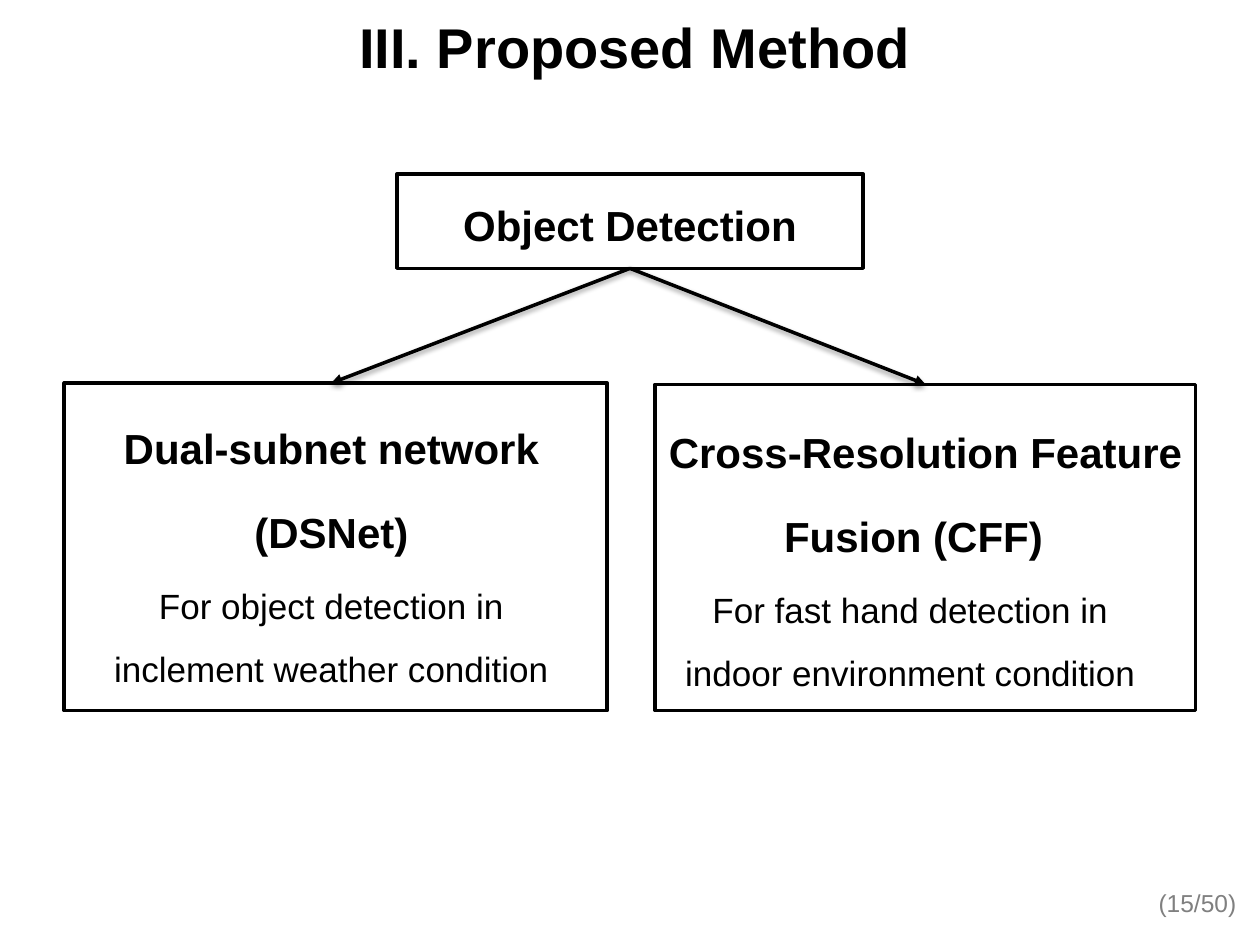
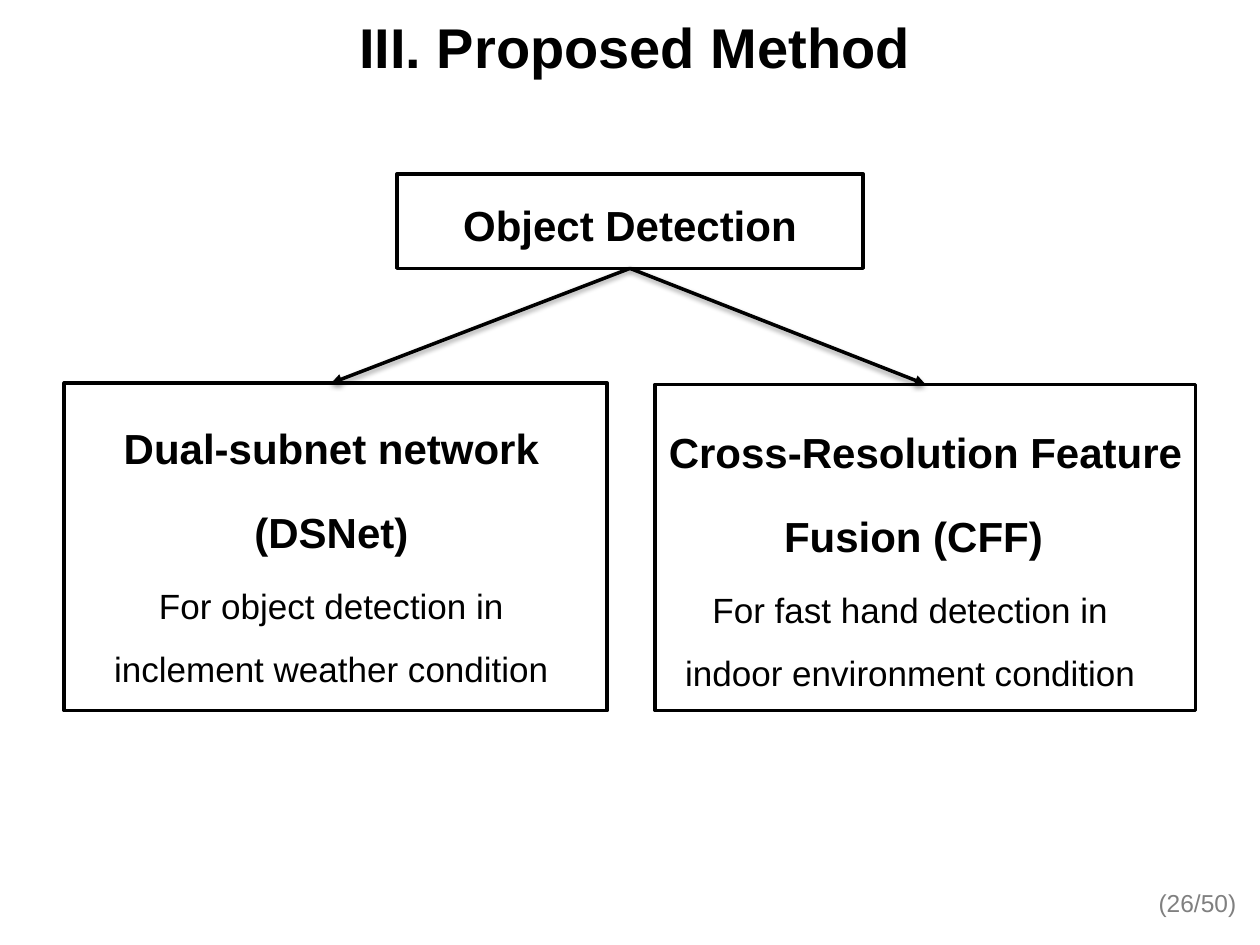
"""Build two overview slides of the proposed object detection methods."""
from dataclasses import dataclass

from lxml import etree
from pptx import Presentation
from pptx import util as u
from pptx.dml.color import RGBColor
from pptx.enum import shapes, text
from pptx.oxml import ns


@dataclass(frozen=True)
class Theme:
    """Colours, type sizes and line weights shared by the slides."""
    font: str = "Arial"
    ink: str = "000000"
    paper: str = "FFFFFF"
    muted: str = "808080"
    title: int = 32
    heading: int = 24
    body: int = 20
    footer: int = 14
    line: int = 2
    leading: float = 1.5
    gap_share: float = 0.2


THEME = Theme()
COLUMNS, ROWS = 100, 75
CELL = u.Inches(0.1)
PAGES, PAGE_TOTAL = (15, 26), 50

TITLE = (0.4, -0.3, 100, 7.9)
FOOTER = (90.2, 69.5, 8.9, 5.2)
ROOT = (31.5, 13.8, 37, 7.5)
DSNET = (5.1, 30.4, 43.1, 26)
DSNET_TEXT = (6.2, 31, 40.2, 24.3)
CFF = (52, 30.5, 42.9, 25.9)


def cells(*counts):
    """Turn counts of grid cells into lengths."""
    return [round(count * CELL) for count in counts]


def add_paragraph(frame, wording, *, size=THEME.heading, bold=False, color=THEME.ink,
                  align=text.PP_ALIGN.CENTER, leading=1.0, gap=0, right_indent=0):
    """Write one formatted paragraph at the end of a text frame."""
    first = not frame.text
    paragraph = frame.paragraphs[0] if first else frame.add_paragraph()
    paragraph.alignment = align
    paragraph.line_spacing = leading
    paragraph.space_before = u.Pt(0 if first else gap * size)
    if right_indent:
        paragraph._p.get_or_add_pPr().set("marR", str(cells(right_indent)[0]))
    run = paragraph.add_run()
    run.text = wording
    run.font.name, run.font.size, run.font.bold = THEME.font, u.Pt(size), bold
    run.font.color.rgb = RGBColor.from_string(color)


def add_text_box(slide, area, anchor=text.MSO_ANCHOR.MIDDLE):
    """Add a wrapping text box and return its frame."""
    frame = slide.shapes.add_textbox(*cells(*area)).text_frame
    frame.word_wrap = True
    frame.vertical_anchor = anchor
    return frame


def add_box(slide, area):
    """Add an outlined rectangle and return its text frame."""
    shape = slide.shapes.add_shape(shapes.MSO_SHAPE.RECTANGLE, *cells(*area))
    shape.shadow.inherit = False
    shape.fill.solid()
    shape.fill.fore_color.rgb = RGBColor.from_string(THEME.paper)
    shape.line.color.rgb = RGBColor.from_string(THEME.ink)
    shape.line.width = u.Pt(THEME.line)
    shape.text_frame.word_wrap = True
    return shape.text_frame


def add_arrow(slide, start, end):
    """Add a softly shadowed arrow between two grid points."""
    arrow = slide.shapes.add_connector(shapes.MSO_CONNECTOR.STRAIGHT, *cells(*start, *end))
    arrow.line.color.rgb = RGBColor.from_string(THEME.ink)
    arrow.line.width = u.Pt(THEME.line)
    etree.SubElement(arrow.line._get_or_add_ln(), ns.qn("a:tailEnd"), type="triangle")
    effects = etree.SubElement(arrow._element.spPr, ns.qn("a:effectLst"))
    shadow = etree.SubElement(effects, ns.qn("a:outerShdw"), blurRad=str(u.Pt(3.1)),
                              dist=str(u.Pt(1.6)), dir="5400000", rotWithShape="0")
    color = etree.SubElement(shadow, ns.qn("a:srgbClr"), val=THEME.ink)
    etree.SubElement(color, ns.qn("a:alpha"), val="38000")


def add_method(frame, headings, lines):
    """Write a method's bold name and its plain purpose, as (wording, right indent) pairs."""
    for wording, indent in headings:
        add_paragraph(frame, wording, bold=True, leading=THEME.leading,
                      gap=THEME.gap_share, right_indent=indent)
    for index, (wording, indent) in enumerate(lines):
        add_paragraph(frame, wording, size=THEME.body, leading=THEME.leading,
                      gap=0 if index else THEME.gap_share, right_indent=indent)


def add_frame(slide, page):
    """Add the title and the page number."""
    add_paragraph(add_text_box(slide, TITLE), "III. Proposed Method", size=THEME.title, bold=True)
    footer = add_text_box(slide, FOOTER, text.MSO_ANCHOR.TOP)
    footer.margin_top = CELL
    add_paragraph(footer, f"({page}/{PAGE_TOTAL})", size=THEME.footer,
                  color=THEME.muted, align=text.PP_ALIGN.RIGHT)


def add_root(slide):
    """Add the box for the common task."""
    frame = add_box(slide, ROOT)
    frame.margin_left = frame.margin_right = frame.margin_top = frame.margin_bottom = 0
    frame.vertical_anchor = text.MSO_ANCHOR.TOP
    add_paragraph(frame, "Object Detection", bold=True, leading=THEME.leading)


def top_center(area):
    """Return the middle of an area's top edge."""
    left, top, width, _ = area
    return left + width / 2, top


def add_overview(slide):
    """Add the task, its two methods and the arrows between them."""
    add_root(slide)
    add_box(slide, DSNET)
    add_method(add_text_box(slide, DSNET_TEXT),
               [("Dual-subnet network", 0), ("(DSNet)", 0)],
               [("For object detection in inclement weather condition", 0)])
    add_method(add_box(slide, CFF),
               [("Cross-Resolution Feature", 0), ("Fusion (CFF)", 1.9)],
               [("For fast hand detection in", 2.4), ("indoor environment condition", 0)])
    root_bottom = (ROOT[0] + ROOT[2] / 2, ROOT[1] + ROOT[3])
    add_arrow(slide, root_bottom, (top_center(DSNET_TEXT)[0], DSNET[1]))
    add_arrow(slide, root_bottom, top_center(CFF))


def main():
    """Build and save the presentation."""
    presentation = Presentation()
    presentation.slide_width, presentation.slide_height = cells(COLUMNS, ROWS)
    for page in PAGES:
        slide = presentation.slides.add_slide(presentation.slide_layouts[6])
        add_frame(slide, page)
        add_overview(slide)
    presentation.save("out.pptx")


if __name__ == "__main__":
    main()
